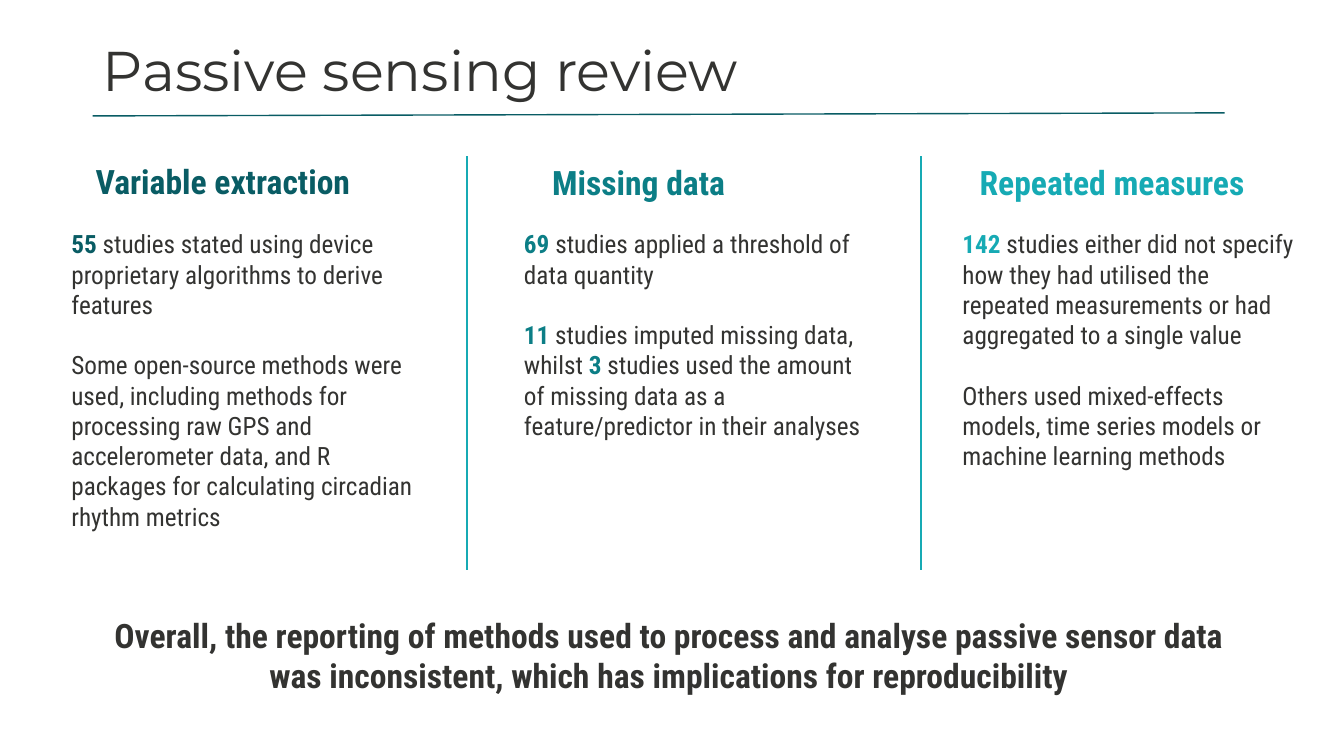
import pptx
import pptx.dml.color
import pptx.enum.shapes
import pptx.enum.text
import pptx.oxml
import pptx.oxml.ns
import pptx.util

Pt = pptx.util.Pt
RGBColor = pptx.dml.color.RGBColor
PP_ALIGN = pptx.enum.text.PP_ALIGN
MSO_ANCHOR = pptx.enum.text.MSO_ANCHOR
MSO_AUTO_SIZE = pptx.enum.text.MSO_AUTO_SIZE

INK = RGBColor(0x33, 0x33, 0x31)
DARK_TEAL = RGBColor(0x09, 0x5C, 0x64)
MID_TEAL = RGBColor(0x0C, 0x7E, 0x86)
LIGHT_TEAL = RGBColor(0x16, 0xAA, 0xB4)

TITLE_FONT = {"name": "Montserrat", "size": Pt(40), "bold": False}
HEADING_FONT = {"name": "Roboto Condensed", "size": Pt(24), "bold": True}
FINDING_FONT = {"name": "Roboto Condensed", "size": Pt(18), "bold": False}
FIGURE_FONT = {**FINDING_FONT, "bold": True}

FINDINGS_TOP = 159.84
FINDING_GAP = Pt(21.6)

TOPICS = [
    {
        "heading": "Variable extraction",
        "color": DARK_TEAL,
        "heading_box": (61.2, 111.6, 245.52, 36),
        "findings_box": (43.92, FINDINGS_TOP, 262.08, 225.36),
        "findings": [
            [("55", True), (" studies stated using device proprietary algorithms to derive features", False)],
            [("Some open-source methods were used, including methods for processing raw GPS and "
              "accelerometer data, and R packages for calculating circadian rhythm metrics", False)],
        ],
    },
    {
        "heading": "Missing data",
        "color": MID_TEAL,
        "heading_box": (387.36, 112.32, 201.6, 36),
        "findings_box": (367.2, FINDINGS_TOP, 257.76, 203.76),
        "findings": [
            [("69 ", True), ("studies applied a threshold of data quantity", False)],
            [("11", True), (" studies imputed missing data, whilst ", False), ("3", True),
             (" studies used the amount of missing data as a feature/predictor in their analyses", False)],
        ],
    },
    {
        "heading": "Repeated measures",
        "color": LIGHT_TEAL,
        "heading_box": (692.64, 112.32, 240.48, 36),
        "findings_box": (680.4, FINDINGS_TOP, 252.72, 203.76),
        "findings": [
            [("142", True), (" studies either did not specify how they had utilised the repeated "
                             "measurements or had aggregated to a single value", False)],
            [("Others used mixed-effects models, time series models or machine learning methods", False)],
        ],
    },
]


def apply_format(target, values):
    for attribute, value in values.items():
        setattr(target, attribute, value)


def add_run(paragraph, text, font, color):
    run = paragraph.add_run()
    run.text = text
    apply_format(run.font, font)
    run.font.color.rgb = color


def add_text_frame(slide, box):
    frame = slide.shapes.add_textbox(*map(Pt, box)).text_frame
    apply_format(frame, {"word_wrap": True, "auto_size": MSO_AUTO_SIZE.SHAPE_TO_FIT_TEXT})
    return frame


def add_statement(slide, box, text, color, alignment=PP_ALIGN.LEFT):
    paragraph = add_text_frame(slide, box).paragraphs[0]
    paragraph.alignment = alignment
    add_run(paragraph, text, HEADING_FONT, color)


def add_findings(slide, box, findings, figure_color):
    frame = add_text_frame(slide, box)
    for index, finding in enumerate(findings):
        paragraph = frame.add_paragraph() if index else frame.paragraphs[0]
        if index:
            paragraph.space_before = FINDING_GAP
        for text, is_figure in finding:
            add_run(paragraph, text, FIGURE_FONT if is_figure else FINDING_FONT,
                    figure_color if is_figure else INK)


def add_rule(slide, ends, color, width):
    rule = slide.shapes.add_connector(pptx.enum.shapes.MSO_CONNECTOR.STRAIGHT, *map(Pt, ends))
    rule.line.color.rgb = color
    rule.line.width = Pt(width)
    properties = rule._element.find(pptx.oxml.ns.qn("p:spPr"))
    properties.append(pptx.oxml.parse_xml(
        "<a:effectLst %s/>" % pptx.oxml.ns.nsdecls("a")))


def set_title(slide, text):
    title = slide.shapes.title
    apply_format(title, {"left": Pt(66.24), "top": Pt(0), "width": Pt(828), "height": Pt(104.4)})
    apply_format(title.text_frame, {"word_wrap": True, "auto_size": MSO_AUTO_SIZE.NONE,
                                    "vertical_anchor": MSO_ANCHOR.MIDDLE})
    paragraph = title.text_frame.paragraphs[0]
    apply_format(paragraph, {"alignment": PP_ALIGN.LEFT, "line_spacing": 0.9})
    add_run(paragraph, text, TITLE_FONT, INK)


def main():
    presentation = pptx.Presentation()
    apply_format(presentation, {"slide_width": Pt(960), "slide_height": Pt(540)})
    slide = presentation.slides.add_slide(presentation.slide_layouts[5])

    set_title(slide, "Passive sensing review")
    add_rule(slide, (66.24, 82.8, 874.8, 80.64), DARK_TEAL, 1)
    for divider_x in (333.36, 658.08):
        add_rule(slide, (divider_x, 111.6, divider_x, 406.8), LIGHT_TEAL, 1.5)
    for topic in TOPICS:
        add_statement(slide, topic["heading_box"], topic["heading"], topic["color"])
        add_findings(slide, topic["findings_box"], topic["findings"], topic["color"])
    add_statement(
        slide, (66.24, 435.6, 822.96, 94.32),
        "Overall, the reporting of methods used to process and analyse passive sensor data "
        "was inconsistent, which has implications for reproducibility",
        INK, PP_ALIGN.CENTER)

    presentation.save("out.pptx")


if __name__ == "__main__":
    main()
